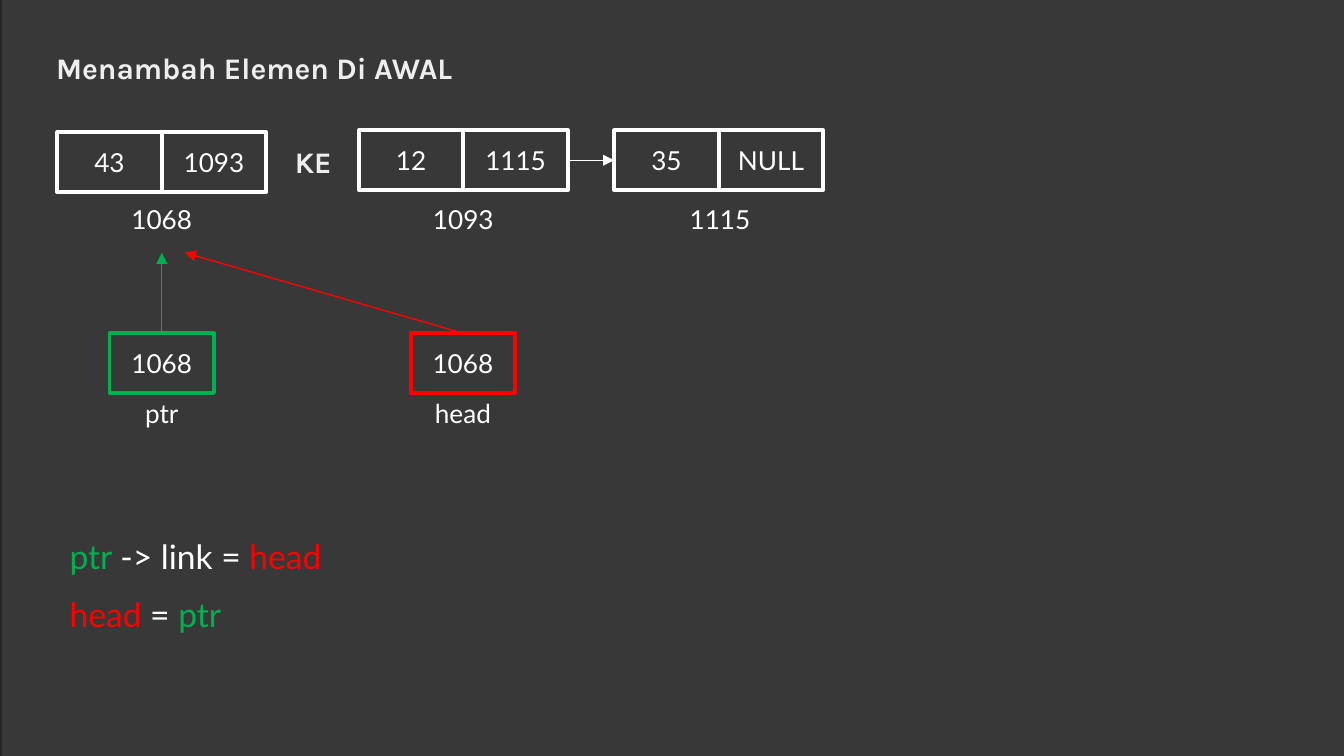
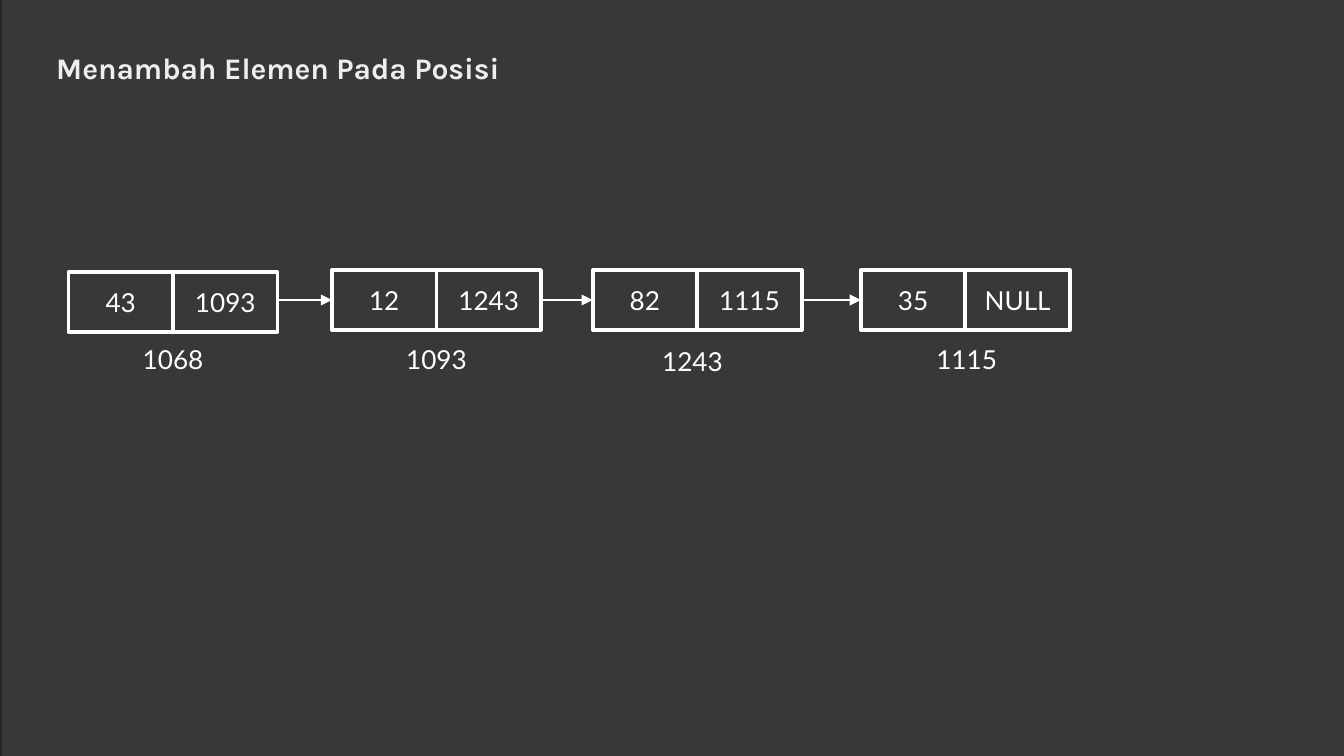
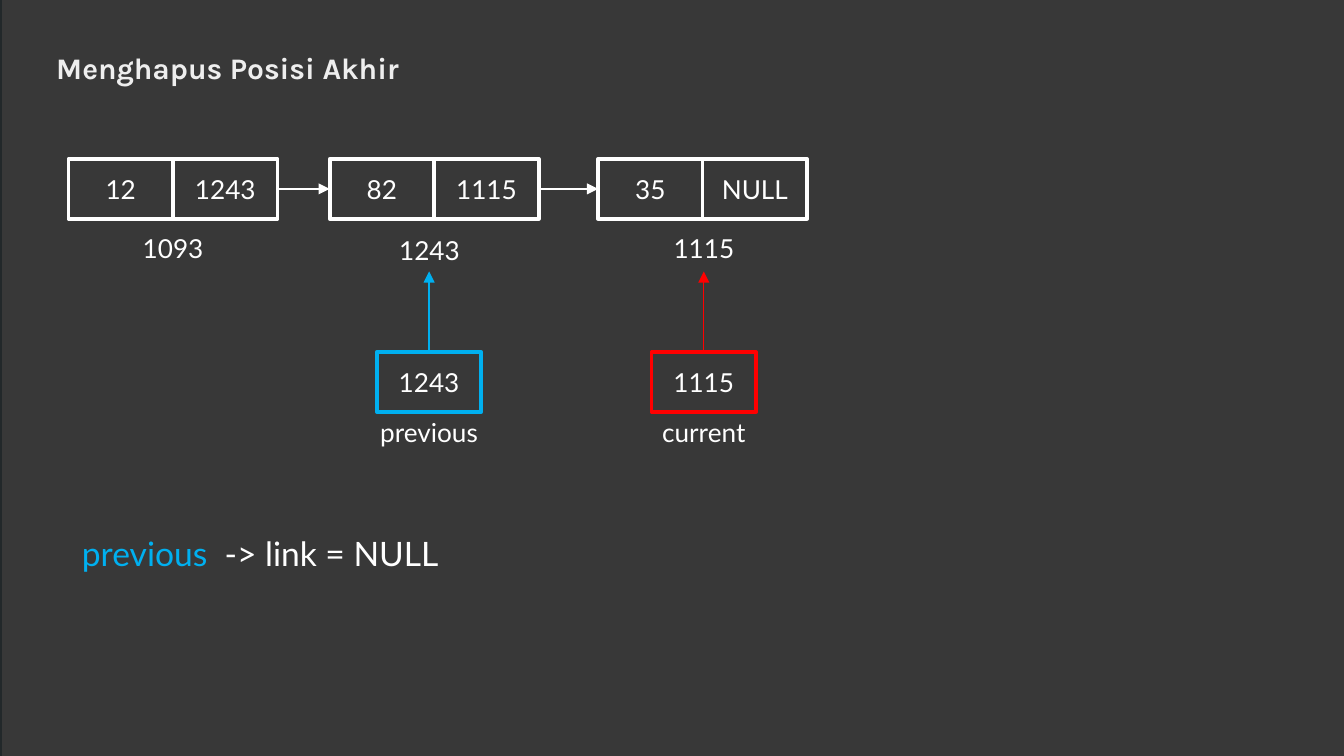
from dataclasses import dataclass
from itertools import pairwise

from lxml.etree import SubElement
from pptx import Presentation
from pptx.dml.color import RGBColor
from pptx.enum.shapes import MSO_CONNECTOR, MSO_SHAPE
from pptx.enum.text import MSO_ANCHOR, PP_ALIGN
from pptx.oxml.ns import qn
from pptx.util import Inches, Pt


@dataclass(frozen=True)
class Theme:
    """Colours, fonts, type sizes and line widths of the deck."""
    ground: str = "383838"
    edge: str = "22282A"
    white: str = "FFFFFF"
    title: str = "EEEEEE"
    green: str = "00B050"
    red: str = "FF0000"
    blue: str = "00B0F0"
    title_font: str = "Karla"
    body_font: str = "Lato"
    title_size: float = 16
    cell_size: float = 14
    code_size: float = 18
    border: float = 2
    arrow: float = 0.75


@dataclass(frozen=True)
class Node:
    """A list node: left column, two cells, address and small offsets."""
    col: float
    value: str
    link: str
    address: str
    drop: float = 0
    label_shift: float = 0
    label_drop: float = 0


T = Theme()
WIDTH = Inches(10)
HEIGHT = WIDTH * 9 // 16
CELL_W, CELL_H = 7.78, 4.45
LABEL_W, LABEL_H = 9.7, 3.2


def grid(*cells):
    """Turn hundredths of the slide width into lengths."""
    return [round(WIDTH * c / 100) for c in cells]


def rgb(colour):
    """Read a hex colour."""
    return RGBColor.from_string(colour)


def add_run(p, text, size, colour, font=T.body_font, bold=False):
    """Append one styled run to a paragraph."""
    r = p.add_run()
    r.text = text
    r.font.name, r.font.size, r.font.bold = font, Pt(size), bold
    r.font.color.rgb = rgb(colour)


def add_box(s, box, line):
    """Draw a dark rectangle with a coloured border."""
    sp = s.shapes.add_shape(MSO_SHAPE.RECTANGLE, *grid(*box))
    sp.shadow.inherit = False
    sp.fill.solid()
    sp.fill.fore_color.rgb = rgb(T.ground)
    sp.line.color.rgb = rgb(line)
    sp.line.width = Pt(T.border)
    return sp


def add_cell(s, col, row, text, line=T.white):
    """Draw a bordered memory cell with centred text."""
    tf = add_box(s, (col, row, CELL_W, CELL_H), line).text_frame
    tf.vertical_anchor = MSO_ANCHOR.MIDDLE
    p = tf.paragraphs[0]
    p.alignment = PP_ALIGN.CENTER
    add_run(p, text, T.cell_size, T.white)


def add_text(s, box, anchor=MSO_ANCHOR.TOP, align=PP_ALIGN.LEFT):
    """Add a text box and return its paragraph."""
    tf = s.shapes.add_textbox(*grid(*box)).text_frame
    tf.word_wrap = True
    tf.vertical_anchor = anchor
    tf.margin_left = tf.margin_right = tf.margin_top = tf.margin_bottom = Inches(0.1)
    p = tf.paragraphs[0]
    p.alignment = align
    return p


def add_heading(s, box, text):
    """Add bold text in the title style."""
    p = add_text(s, box, MSO_ANCHOR.MIDDLE)
    add_run(p, text, T.title_size, T.title, T.title_font, True)


def add_label(s, centre, row, text):
    """Add a caption centred on a column."""
    p = add_text(s, (centre - LABEL_W / 2, row, LABEL_W, LABEL_H), align=PP_ALIGN.CENTER)
    add_run(p, text, T.cell_size, T.white)


def add_code(s, box, *parts):
    """Add a line of code from text and colour pairs."""
    p = add_text(s, box)
    for text, colour in parts:
        add_run(p, text, T.code_size, colour)


def add_arrow(s, start, end, colour=T.white):
    """Draw a straight arrow between two grid points."""
    cn = s.shapes.add_connector(MSO_CONNECTOR.STRAIGHT, *grid(*start, *end))
    cn.line.color.rgb = rgb(colour)
    cn.line.width = Pt(T.arrow)
    SubElement(cn.line._get_or_add_ln(), qn("a:tailEnd"), type="triangle")
    SubElement(cn._element.spPr, qn("a:effectLst"))


def add_node(s, row, node):
    """Draw the two cells of a node and its address."""
    for i, text in enumerate((node.value, node.link)):
        add_cell(s, node.col + i * CELL_W, row + node.drop, text)
    add_label(s, node.col + CELL_W + node.label_shift,
              row + CELL_H + node.label_drop, node.address)


def add_chain(s, row, *nodes):
    """Draw nodes joined by arrows."""
    for node in nodes:
        add_node(s, row, node)
    y = row + CELL_H / 2
    for a, b in pairwise(nodes):
        add_arrow(s, (a.col + 2 * CELL_W, y), (b.col, y))


def add_pointer(s, centre, row, address, name, colour, target=None):
    """Draw a named pointer cell with an arrow up to its target."""
    add_cell(s, centre - CELL_W / 2, row, address, colour)
    add_arrow(s, (centre, row), (target or centre, row - 6), colour)
    add_label(s, centre, row + 3.8, name)


def add_slide(prs, title, top=-1.4, title_w=44.2):
    """Add a blank slide with the dark panel and the title."""
    s = prs.slides.add_slide(prs.slide_layouts[6])
    add_box(s, (0, top, 101.3, 61.6), T.edge)
    add_heading(s, (3.2, 1.9, title_w, 6.3), title)
    return s


def build_insert_first(prs):
    """Show a node added at the start of the list."""
    s = add_slide(prs, "Menambah Elemen Di AWAL", -2.2, 35.7)
    add_node(s, 9.7, Node(4.26, "43", "1093", "1068", drop=0.15))
    add_heading(s, (20.95, 8.9, 5.1, 6.3), "KE")
    add_chain(s, 9.7, Node(26.7, "12", "1115", "1093"),
              Node(45.7, "35", "NULL", "1115", label_shift=0.1))
    add_pointer(s, 12.04, 24.8, "1068", "ptr", T.green)
    add_pointer(s, 34.45, 24.8, "1068", "head", T.red, target=13.75)
    add_code(s, (4.2, 38.9, 26.4, LABEL_H),
             ("ptr ", T.green), ("-> link = ", T.white), ("head", T.red))
    add_code(s, (4.2, 43.2, 26.4, LABEL_H),
             ("head ", T.red), ("= ", T.white), ("ptr", T.green))


def build_insert_at(prs):
    """Show the list with a node added in the middle."""
    s = add_slide(prs, "Menambah Elemen Pada Posisi")
    add_chain(s, 20.1, Node(5.1, "43", "1093", "1068", drop=0.15),
              Node(24.7, "12", "1243", "1093"),
              Node(44.1, "82", "1115", "1243", label_shift=-0.35, label_drop=0.15),
              Node(64.05, "35", "NULL", "1115", label_shift=0.1))


def build_delete_last(prs):
    """Show the last node being removed."""
    s = add_slide(prs, "Menghapus Posisi Akhir")
    add_chain(s, 11.83, Node(5.1, "12", "1243", "1093"),
              Node(24.53, "82", "1115", "1243", label_shift=-0.35, label_drop=0.15),
              Node(44.5, "35", "NULL", "1115", label_shift=0.1))
    add_pointer(s, 52.37, 26.2, "1115", "current", T.red)
    add_pointer(s, 31.93, 26.2, "1243", "previous", T.blue)
    add_code(s, (5.12, 38.64, 31.6, 7.6),
             ("previous", T.blue), ("  -> link = NULL", T.white))


def main():
    """Build the deck and save it."""
    prs = Presentation()
    prs.slide_width, prs.slide_height = WIDTH, HEIGHT
    build_insert_first(prs)
    build_insert_at(prs)
    build_delete_last(prs)
    prs.save("out.pptx")


if __name__ == "__main__":
    main()
